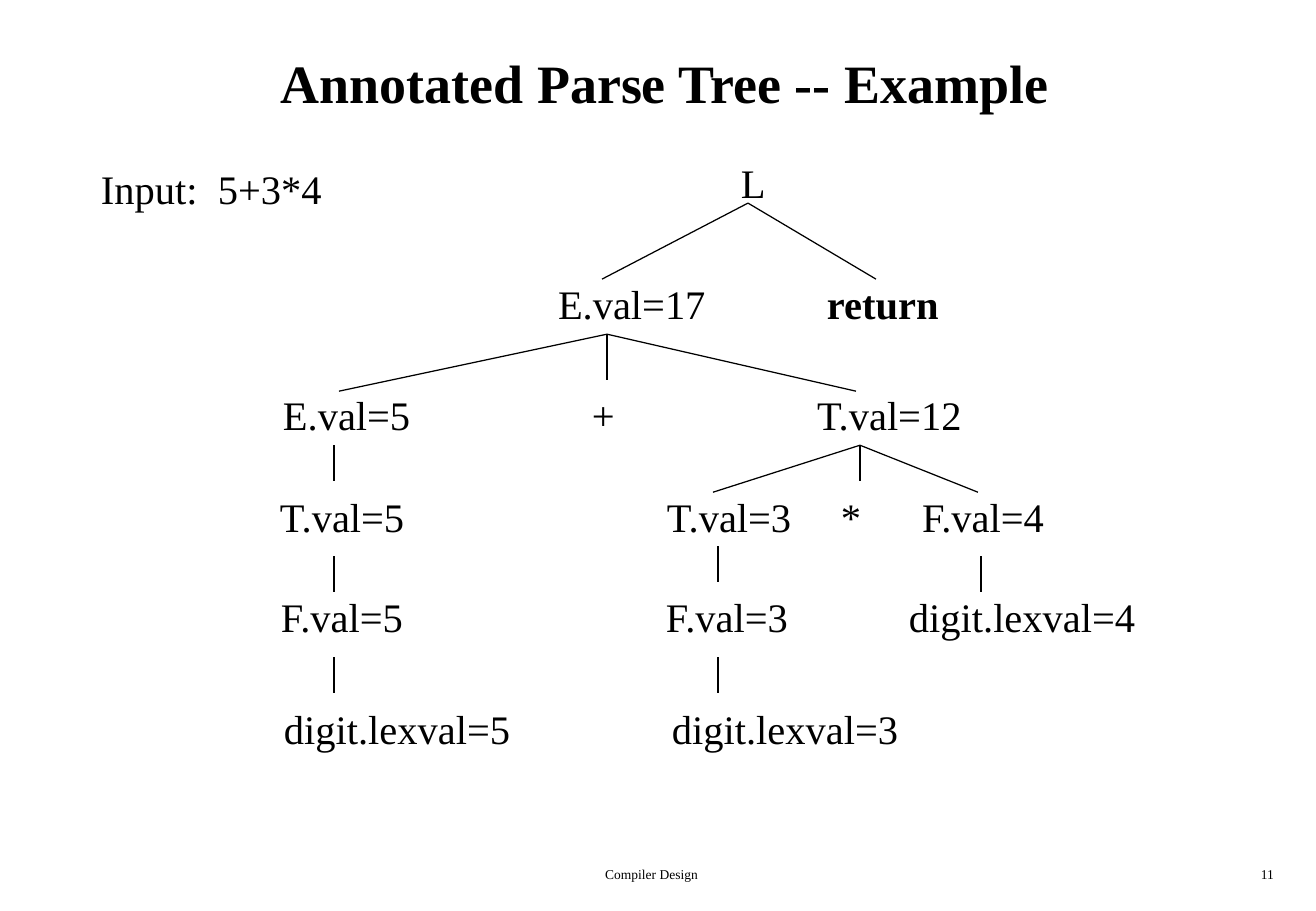
from dataclasses import dataclass

from lxml import etree
from pptx import Presentation
from pptx.dml.color import RGBColor
from pptx.enum import shapes, text
from pptx.oxml.ns import qn
from pptx import util as u

SCALE = 914400 / 121.4  # EMU per pixel
FONT = "Times New Roman"
COLOURS = {"paper": "FFFFFF", "ink": "000000"}
INSET_X, INSET_Y = 12, 6
LABEL_HEIGHT = 61
LEFT, CENTRE, RIGHT = text.PP_ALIGN.LEFT, text.PP_ALIGN.CENTER, text.PP_ALIGN.RIGHT


@dataclass(frozen=True)
class Label:
    words: str
    left: int
    top: int
    width: int
    height: int = LABEL_HEIGHT
    size: int = 24
    bold: bool = False
    align: text.PP_ALIGN = LEFT
    anchor: text.MSO_ANCHOR = text.MSO_ANCHOR.TOP


@dataclass(frozen=True)
class Branch:
    parent: tuple[int, int]
    children: tuple[tuple[int, int], ...]


def px(pixels: float) -> u.Emu:
    return u.Emu(round(pixels * SCALE))


def colour(name: str) -> RGBColor:
    return RGBColor.from_string(COLOURS[name])


def draw_label(page, label: Label) -> None:
    box = page.shapes.add_textbox(
        px(label.left), px(label.top), px(label.width), px(label.height))
    frame = box.text_frame
    frame.word_wrap = True
    frame.margin_left = frame.margin_right = px(INSET_X)
    frame.margin_top = frame.margin_bottom = px(INSET_Y)
    frame.vertical_anchor = label.anchor
    frame.text = label.words
    para = frame.paragraphs[0]
    para.alignment = label.align
    for span in para.runs:
        span.font.name = FONT
        span.font.size = u.Pt(label.size)
        span.font.bold = label.bold
        span.font.color.rgb = colour("ink")


def draw_branch(page, branch: Branch) -> None:
    for child in branch.children:
        line = page.shapes.add_connector(
            shapes.MSO_CONNECTOR.STRAIGHT,
            *(px(value) for value in branch.parent + child))
        line.line.width = u.Pt(0.74)
        line.line.color.rgb = colour("ink")
        etree.SubElement(line._element.spPr, qn("a:effectLst"))


# Title, input and footer
FRAME_LABELS = [
    Label("Compiler Design", 405, 860, 493, 30, 8, align=CENTRE),
    Label("11", 1011, 860, 275, 30, 8, align=RIGHT),
    Label("Annotated Parse Tree -- Example", 43, 21, 1244, 121, 32, True,
          CENTRE, text.MSO_ANCHOR.MIDDLE),
    Label("Input:  5+3*4", 89, 158, 260),
]

# Tree nodes: row top -> (words, text left)
ROWS = {
    152: [("L", 741)],
    273: [("E.val=17", 558), ("return", 827)],
    384: [("E.val=5", 283), ("+", 592), ("T.val=12", 817)],
    486: [("T.val=5", 280), ("T.val=3", 667), ("*", 841), ("F.val=4", 922)],
    586: [("F.val=5", 281), ("F.val=3", 666), ("digit.lexval=4", 909)],
    698: [("digit.lexval=5", 284), ("digit.lexval=3", 672)],
}
NODES = [
    Label(words, left - INSET_X, top, 2 * INSET_X + 20 * len(words) + 10,
          bold=words == "return")
    for top, row in ROWS.items() for words, left in row
]

# Fans, then single-child stems of equal length
STEM = 36
FANS = [
    Branch((748, 203), ((602, 279), (876, 279))),
    Branch((607, 334), ((339, 391), (607, 380), (856, 391))),
    Branch((860, 445), ((713, 492), (860, 481), (978, 492))),
]
STEM_TOPS = {334: (445, 556, 657), 718: (546, 657), 981: (556,)}
STEMS = [Branch((x, top), ((x, top + STEM),))
         for x, tops in STEM_TOPS.items() for top in tops]

deck = Presentation()
deck.slide_width, deck.slide_height = u.Inches(10.84), u.Inches(7.5)
page = deck.slides.add_slide(deck.slide_layouts[6])
page.background.fill.solid()
page.background.fill.fore_color.rgb = colour("paper")

for label in FRAME_LABELS + NODES:
    draw_label(page, label)
for branch in FANS + STEMS:
    draw_branch(page, branch)

deck.save("out.pptx")
